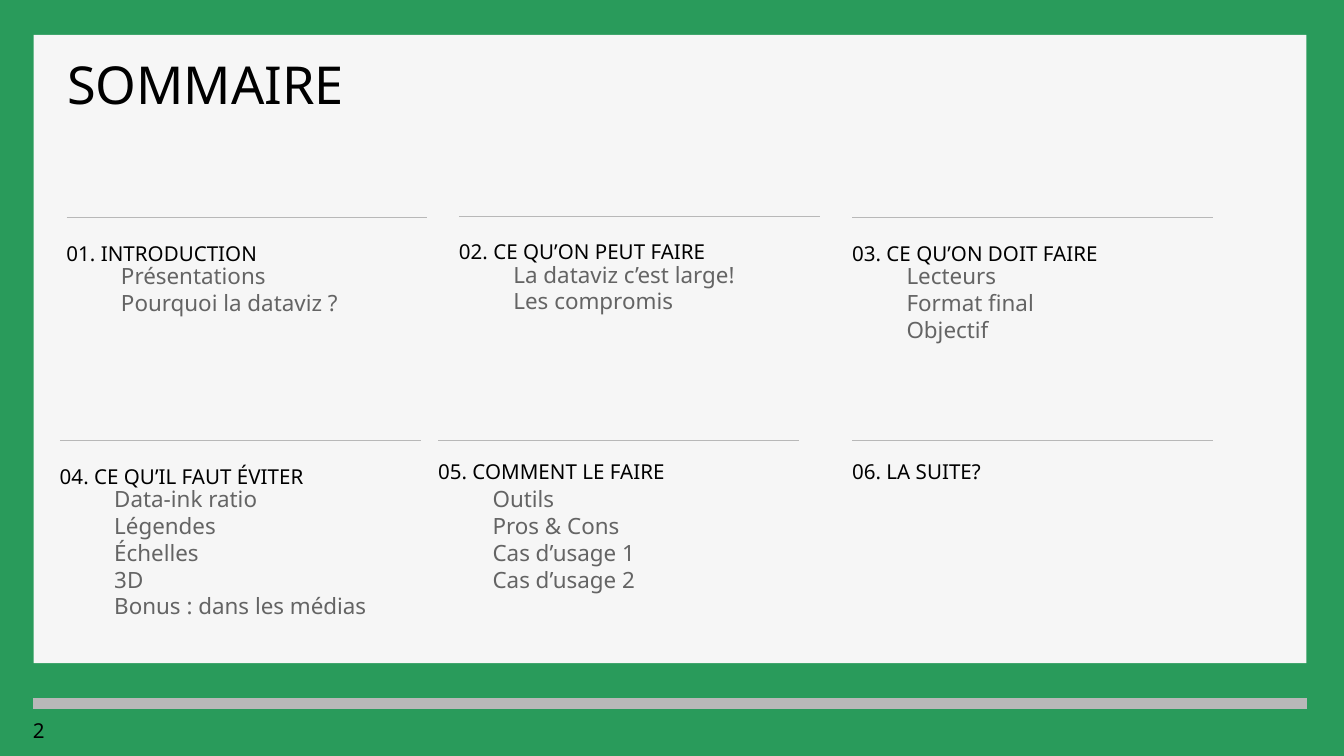
from dataclasses import dataclass

from lxml import etree
from pptx import Presentation
from pptx import util as u
from pptx.dml.color import RGBColor
from pptx.enum import shapes, text
from pptx.oxml.ns import qn
from pptx.slide import Slide

GREEN = RGBColor(0x29, 0x9B, 0x5B)
PAPER = RGBColor(0xF6, 0xF6, 0xF6)
RULE_GREY = RGBColor(0xB8, 0xB8, 0xB8)
BLACK = RGBColor(0, 0, 0)
ITEM_GREY = RGBColor(0x64, 0x64, 0x64)
FONT = "Noto Sans"

# Square grid: 100 columns across the slide, 56.25 rows down
WIDTH, HEIGHT = u.Inches(10), u.Inches(5.625)
CELL = WIDTH / 100

# Layout of one topic, in cells
TOPIC_WIDTH = 26.85
HEADING_DROP = 1.7
ITEMS_DROP = 3.3
ITEMS_INDENT = 4.05


@dataclass(frozen=True)
class Topic:
    column: float
    row: float
    heading: str
    items: tuple[str, ...] = ()
    heading_spacing: float = 1.0


TOPICS = (
    Topic(4.95, 16.2, "01. INTRODUCTION", ("Présentations", "Pourquoi la dataviz ?")),
    Topic(34.15, 16.1, "02. CE QU’ON PEUT FAIRE",
          ("La dataviz c’est large!", "Les compromis")),
    Topic(63.4, 16.2, "03. CE QU’ON DOIT FAIRE",
          ("Lecteurs", "Format final", "Objectif")),
    Topic(4.45, 32.8, "04. CE QU’IL FAUT ÉVITER",
          ("Data-ink ratio", "Légendes", "Échelles", "3D", "Bonus : dans les médias")),
    Topic(32.6, 32.8, "05. COMMENT LE FAIRE",
          ("Outils", "Pros & Cons", "Cas d’usage 1", "Cas d’usage 2"), 0.8),
    Topic(63.4, 32.8, "06. LA SUITE?", (), 0.8),
)


def cells(count: float) -> u.Emu:
    return u.Emu(round(count * CELL))


def add_text(slide: Slide, column: float, row: float, columns: float, rows: float,
             lines: tuple[str, ...], size: float, color: RGBColor,
             spacing: float = 1.0) -> None:
    box = slide.shapes.add_textbox(cells(column), cells(row), cells(columns), cells(rows))
    frame = box.text_frame
    frame.word_wrap = True
    frame.vertical_anchor = text.MSO_ANCHOR.TOP
    frame.margin_left = frame.margin_right = frame.margin_top = frame.margin_bottom = 0
    frame.text = "\n".join(lines)
    for paragraph in frame.paragraphs:
        paragraph.line_spacing = spacing
        paragraph.font.name = FONT
        paragraph.font.size = u.Pt(size)
        paragraph.font.color.rgb = color


def add_rule(slide: Slide, column: float, row: float, columns: float,
             weight: float) -> None:
    rule = slide.shapes.add_connector(
        shapes.MSO_CONNECTOR.STRAIGHT,
        cells(column), cells(row), cells(column + columns), cells(row))
    rule.line.color.rgb = RULE_GREY
    rule.line.width = u.Pt(weight)
    etree.SubElement(rule.element.spPr, qn("a:effectLst"))


def add_topic(slide: Slide, topic: Topic) -> None:
    add_rule(slide, topic.column, topic.row, TOPIC_WIDTH, 0.75)
    add_text(slide, topic.column, topic.row + HEADING_DROP, TOPIC_WIDTH, 1.5,
             (topic.heading,), 11, BLACK, topic.heading_spacing)
    if topic.items:
        add_text(slide, topic.column + ITEMS_INDENT, topic.row + ITEMS_DROP,
                 TOPIC_WIDTH - ITEMS_INDENT, 2 * len(topic.items),
                 topic.items, 12, ITEM_GREY)


def main() -> None:
    deck = Presentation()
    deck.slide_width, deck.slide_height = WIDTH, HEIGHT
    slide = deck.slides.add_slide(deck.slide_layouts[6])

    # Green frame, pale panel and footer bar
    slide.background.fill.solid()
    slide.background.fill.fore_color.rgb = GREEN
    panel = slide.shapes.add_shape(shapes.MSO_SHAPE.RECTANGLE, cells(2.5), cells(2.6),
                                   cells(94.7), cells(46.75))
    panel.shadow.inherit = False
    panel.fill.solid()
    panel.fill.fore_color.rgb = PAPER
    panel.line.fill.background()
    add_rule(slide, 2.45, 52.35, 94.8, 6)

    # Title and page number
    add_text(slide, 5, 5, 89.7, 3.5, ("SOMMAIRE",), 28, BLACK, 0.75)
    add_text(slide, 2.45, 53.4, 5, 1.9, ("2",), 11, BLACK)

    # Table of contents
    for topic in TOPICS:
        add_topic(slide, topic)

    deck.save("out.pptx")


if __name__ == "__main__":
    main()
